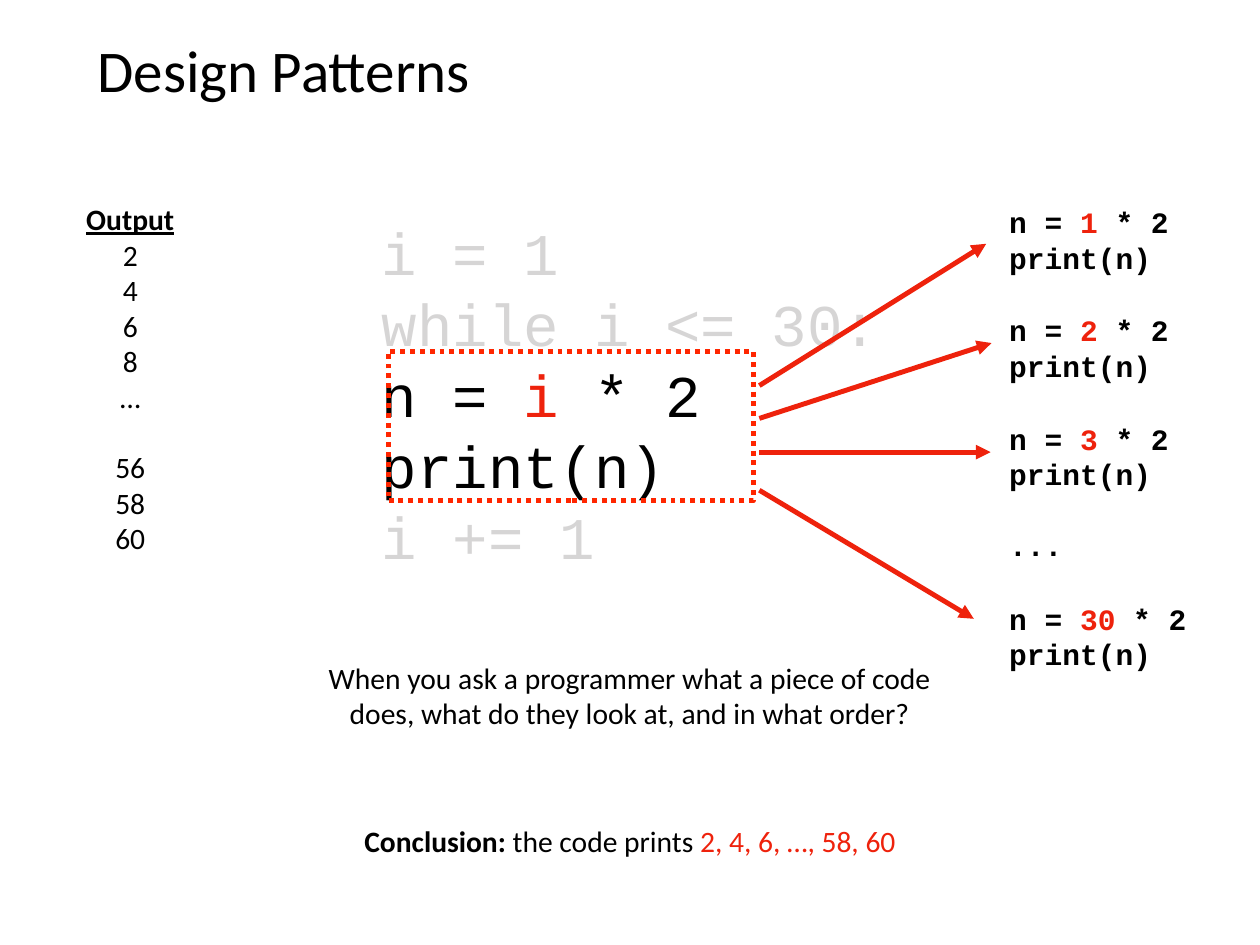
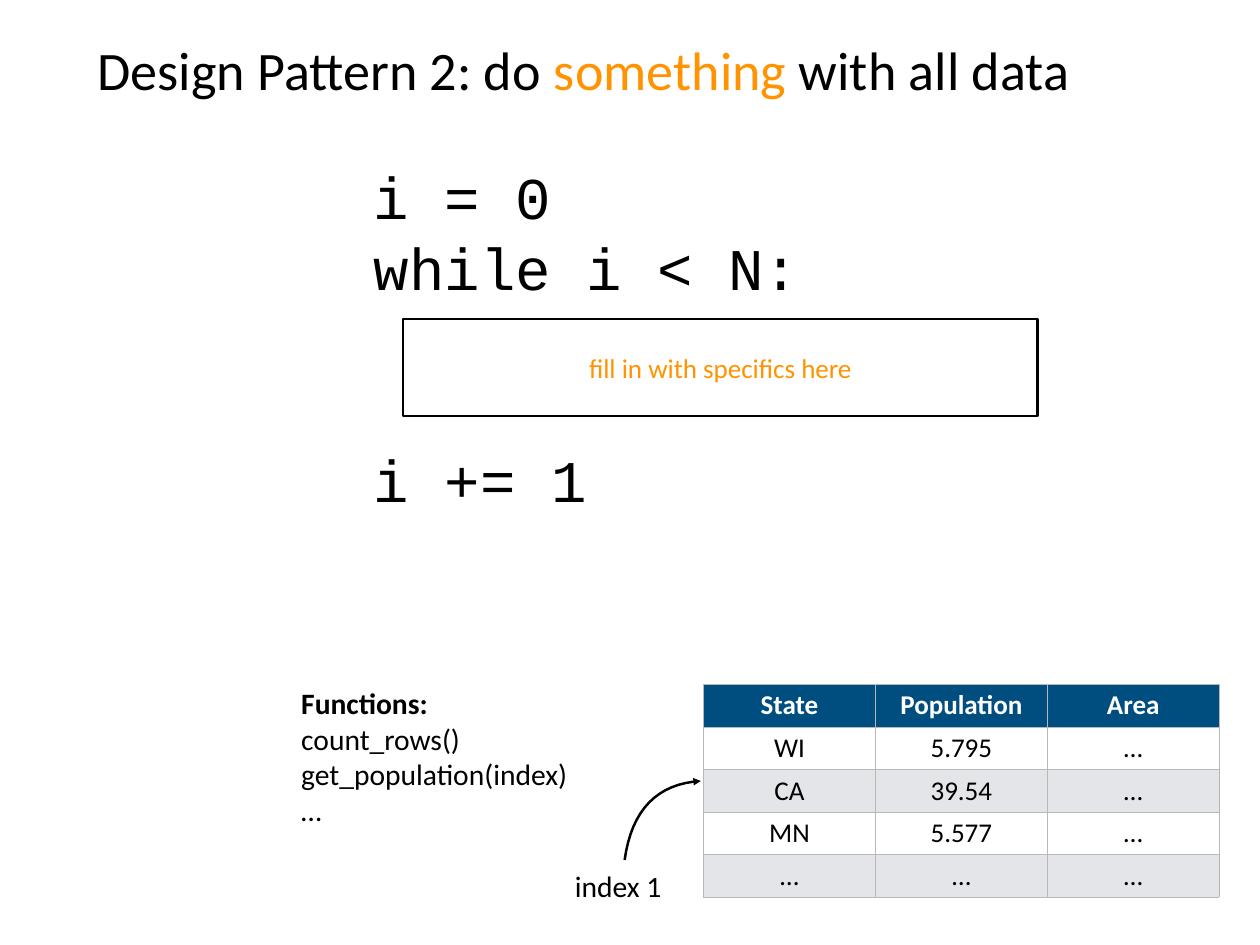
from dataclasses import dataclass
from typing import Optional

from lxml import etree
from pptx import Presentation
from pptx.dml.color import RGBColor
from pptx.enum.dml import MSO_LINE
from pptx.enum.shapes import MSO_CONNECTOR, MSO_SHAPE
from pptx.enum.text import MSO_ANCHOR, MSO_AUTO_SIZE, PP_ALIGN
from pptx.oxml.ns import qn
from pptx.util import Inches, Pt

LEFT, CENTER = PP_ALIGN.LEFT, PP_ALIGN.CENTER
MIDDLE, TOP = MSO_ANCHOR.MIDDLE, MSO_ANCHOR.TOP
RECT, STRAIGHT, DOTTED = MSO_SHAPE.RECTANGLE, MSO_CONNECTOR.STRAIGHT, MSO_LINE.ROUND_DOT
NO_FIT = MSO_AUTO_SIZE.NONE

COLORS = {
    "black": "000000", "white": "FFFFFF", "red": "EE220C", "frame": "FF2600",
    "faded": "D6D5D5", "orange": "FF9300", "header": "004D80",
    "band": "E3E5E8", "border": "B8B8B8",
}
SANS, MONO = "Calibri", "Courier New"
PAD = 0.06
LEADING = 1.2
# Extra inset above the first line, in inches per point of text size
FIRST_LINE_DROP = {SANS: 0.0008, MONO: 0.0018}


@dataclass
class Run:
    text: str
    color: str = "black"
    bold: bool = False
    underline: bool = False


@dataclass
class Line:
    runs: list[Run]
    lines_before: int = 0


@dataclass
class Block:
    left: float
    top: float
    width: float
    height: float
    lines: list[Line]
    font: str = SANS
    size: int = 24
    align: PP_ALIGN = LEFT


@dataclass
class Arrow:
    x1: float
    y1: float
    x2: float
    y2: float


def rgb(name: str) -> RGBColor:
    return RGBColor.from_string(COLORS[name])


def line(text: str, color: str = "black", bold: bool = False,
         underline: bool = False, lines_before: int = 0) -> Line:
    return Line([Run(text, color, bold, underline)], lines_before)


def write(p, runs: list[Run], font: str, size: int, align: PP_ALIGN) -> None:
    p.alignment = align
    p.font.name, p.font.size = font, Pt(size)
    for run in runs:
        r = p.add_run()
        r.text = run.text
        r.font.color.rgb = rgb(run.color)
        r.font.bold, r.font.underline = run.bold, run.underline


def set_frame(tf, anchor: MSO_ANCHOR, top_pad: float = PAD) -> None:
    tf.word_wrap, tf.auto_size, tf.vertical_anchor = True, NO_FIT, anchor
    tf.margin_left = tf.margin_right = tf.margin_bottom = Inches(PAD)
    tf.margin_top = Inches(top_pad)


def add_titled_slide(prs, runs: list[Run], size: int):
    s = prs.slides.add_slide(prs.slide_layouts[5])
    sp = s.shapes.title
    sp.left, sp.top = Inches(1.04), Inches(0.28)
    sp.width, sp.height = Inches(12.14), Inches(0.99)
    set_frame(sp.text_frame, MIDDLE)
    write(sp.text_frame.paragraphs[0], runs, SANS, size, LEFT)
    return s


def add_block(s, block: Block) -> None:
    sp = s.shapes.add_textbox(Inches(block.left), Inches(block.top),
                              Inches(block.width), Inches(block.height))
    tf = sp.text_frame
    set_frame(tf, TOP, PAD + FIRST_LINE_DROP[block.font] * block.size)
    pitch = block.size * LEADING
    for i, item in enumerate(block.lines):
        p = tf.add_paragraph() if i else tf.paragraphs[0]
        p.line_spacing = Pt(pitch)
        p.space_before = Pt(pitch * item.lines_before)
        write(p, item.runs, block.font, block.size, block.align)


def add_frame(s, left: float, top: float, width: float, height: float,
              color: str, weight: float):
    sp = s.shapes.add_shape(RECT, Inches(left), Inches(top), Inches(width), Inches(height))
    sp.shadow.inherit = False
    sp.fill.background()
    sp.line.color.rgb, sp.line.width = rgb(color), Pt(weight)
    return sp


def add_arrowhead(sp) -> None:
    ln = sp._element.spPr.find(qn("a:ln"))
    etree.SubElement(ln, qn("a:tailEnd"), type="triangle")


def add_arrow(s, arrow: Arrow) -> None:
    c = s.shapes.add_connector(STRAIGHT, Inches(arrow.x1), Inches(arrow.y1),
                               Inches(arrow.x2), Inches(arrow.y2))
    c.line.color.rgb, c.line.width = rgb("red"), Pt(4)
    add_arrowhead(c)
    etree.SubElement(c._element.spPr, qn("a:effectLst"))


def add_curved_arrow(s, points: list[tuple[float, float]], steps: int = 16) -> None:
    """Draw a cubic Bezier curve from its four control points."""
    def at(t: float) -> tuple[int, int]:
        weights = ((1 - t) ** 3, 3 * t * (1 - t) ** 2, 3 * t * t * (1 - t), t ** 3)
        x, y = (sum(w * pt[axis] for w, pt in zip(weights, points)) for axis in (0, 1))
        return Inches(x), Inches(y)

    builder = s.shapes.build_freeform(*at(0))
    builder.add_line_segments([at(i / steps) for i in range(1, steps + 1)], close=False)
    sp = builder.convert_to_shape()
    sp.shadow.inherit = False
    sp.fill.background()
    sp.line.color.rgb, sp.line.width = rgb("black"), Pt(2)
    add_arrowhead(sp)


def add_borders(cell) -> None:
    tc_pr = cell._tc.get_or_add_tcPr()
    for side in ("lnL", "lnR", "lnT", "lnB"):
        ln = etree.SubElement(tc_pr, qn(f"a:{side}"), w=str(Pt(0.45)))
        fill = etree.SubElement(ln, qn("a:solidFill"))
        etree.SubElement(fill, qn("a:srgbClr"), val=COLORS["border"])


def add_data_table(s, rows: list[list[str]], left: float, top: float,
                   col_width: float, row_height: float) -> None:
    n_rows, n_cols = len(rows), len(rows[0])
    table = s.shapes.add_table(n_rows, n_cols, Inches(left), Inches(top),
                               Inches(col_width * n_cols),
                               Inches(row_height * n_rows)).table
    for i, values in enumerate(rows):
        header = i == 0
        fill = "header" if header else "white" if i % 2 else "band"
        for j, value in enumerate(values):
            cell = table.cell(i, j)
            add_borders(cell)
            cell.fill.solid()
            cell.fill.fore_color.rgb = rgb(fill)
            cell.vertical_anchor = MIDDLE
            cell.margin_left = cell.margin_right = Inches(PAD)
            cell.margin_top = cell.margin_bottom = Inches(0.05)
            run = Run(value, "white" if header else "black", header)
            write(cell.text_frame.paragraphs[0], [run], SANS, 22, CENTER)


def unrolled_step(value: str, top: float, extra: Optional[Line] = None) -> Block:
    lines = [Line([Run("n = ", bold=True), Run(value, "red", True), Run(" * 2", bold=True)]),
             line("print(n)", bold=True)]
    if extra:
        lines.append(extra)
    return Block(11.33, top, 2.2, 1.71 if extra else 0.91, lines, MONO)


def build_patterns_slide(prs) -> None:
    s = add_titled_slide(prs, [Run("Design Patterns")], 48)

    # Loop code and the questions below it
    add_block(s, Block(4.25, 2.3, 5.8, 4.11, [
        line("i = 1", "faded"),
        line("while i <= 30:", "faded"),
        Line([Run("n = "), Run("i", "red"), Run(" * 2")]),
        line("print(n)"),
        line("i += 1", "faded"),
    ], MONO, 48))
    add_block(s, Block(3.12, 7.36, 7.97, 0.91, [
        line("When you ask a programmer what a piece of code"),
        line("does, what do they look at, and in what order?"),
    ], align=CENTER))
    add_block(s, Block(3.59, 9.2, 7.04, 0.51, [
        Line([Run("Conclusion: ", bold=True), Run("the code prints "),
              Run("2, 4, 6, …, 58, 60", "red")]),
    ], align=CENTER))
    add_frame(s, 4.38, 3.96, 4.12, 1.69, "frame", 4).line.dash_style = DOTTED

    # Unrolled steps
    dots = line("...", bold=True, lines_before=1)
    for value, top, extra in (("1", 2.2, None), ("2", 3.42, None),
                              ("3", 4.64, dots), ("30", 6.67, None)):
        add_block(s, unrolled_step(value, top, extra))
    for y1, x2, y2 in ((4.35, 11.13, 2.75), (4.72, 11.19, 3.87),
                       (5.1, 11.18, 5.1), (5.53, 10.99, 6.98)):
        add_arrow(s, Arrow(8.57, y1, x2, y2))

    # Output column
    output = [line("Output", bold=True, underline=True)]
    output += [line(text) for text in ("2", "4", "6", "8", "…")]
    output += [line("56", lines_before=1), line("58"), line("60")]
    add_block(s, Block(0.81, 2.19, 1.32, 4.11, output, align=CENTER))


def build_all_data_slide(prs) -> None:
    s = add_titled_slide(prs, [Run("Design Pattern 2: do "), Run("something", "orange"),
                               Run(" with all data")], 44)

    # Loop template with a gap to fill in
    add_block(s, Block(4.16, 1.66, 5, 4.11, [
        line("i = 0"), line("while i < N:"), line("i += 1", lines_before=2),
    ], MONO, 48))
    sp = add_frame(s, 4.55, 3.6, 7.16, 1.09, "black", 2)
    set_frame(sp.text_frame, MIDDLE)
    write(sp.text_frame.paragraphs[0], [Run("fill in with specifics here", "orange")],
          SANS, 22, CENTER)

    # Functions and the data they read
    functions = [line("Functions:", bold=True)]
    functions += [line(text) for text in ("count_rows()", "get_population(index)", "…")]
    add_block(s, Block(3.34, 7.65, 3.54, 1.71, functions))
    add_curved_arrow(s, [(7.05, 9.7), (7.13, 9.13), (7.42, 8.84), (7.91, 8.81)])
    add_block(s, Block(6.35, 9.71, 1.25, 0.51, [line("index 1")], align=CENTER))
    add_data_table(s, [
        ["State", "Population", "Area"],
        ["WI", "5.795", "…"],
        ["CA", "39.54", "…"],
        ["MN", "5.577", "…"],
        ["…", "…", "…"],
    ], 7.94, 7.72, 1.94, 0.48)


def main() -> None:
    prs = Presentation()
    prs.slide_width, prs.slide_height = Inches(14.22), Inches(10.66)
    build_patterns_slide(prs)
    build_all_data_slide(prs)
    prs.save("out.pptx")


if __name__ == "__main__":
    main()
